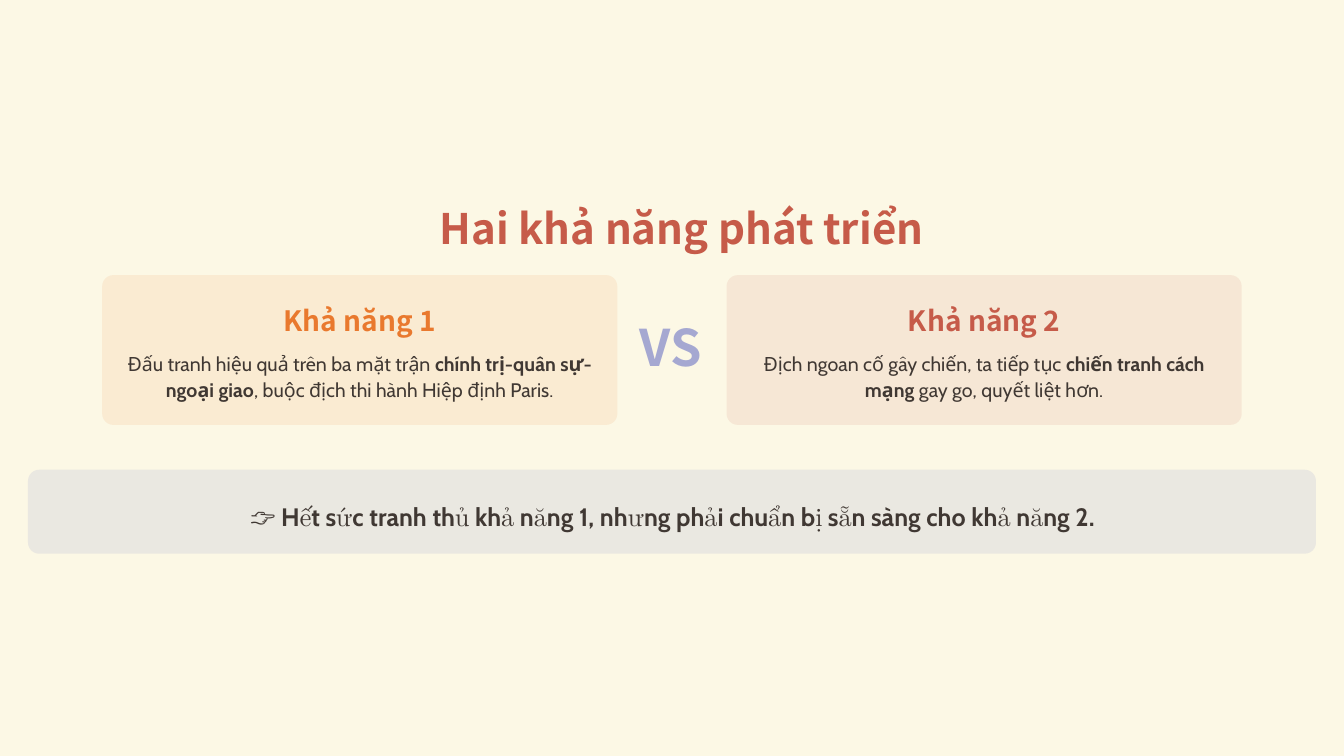
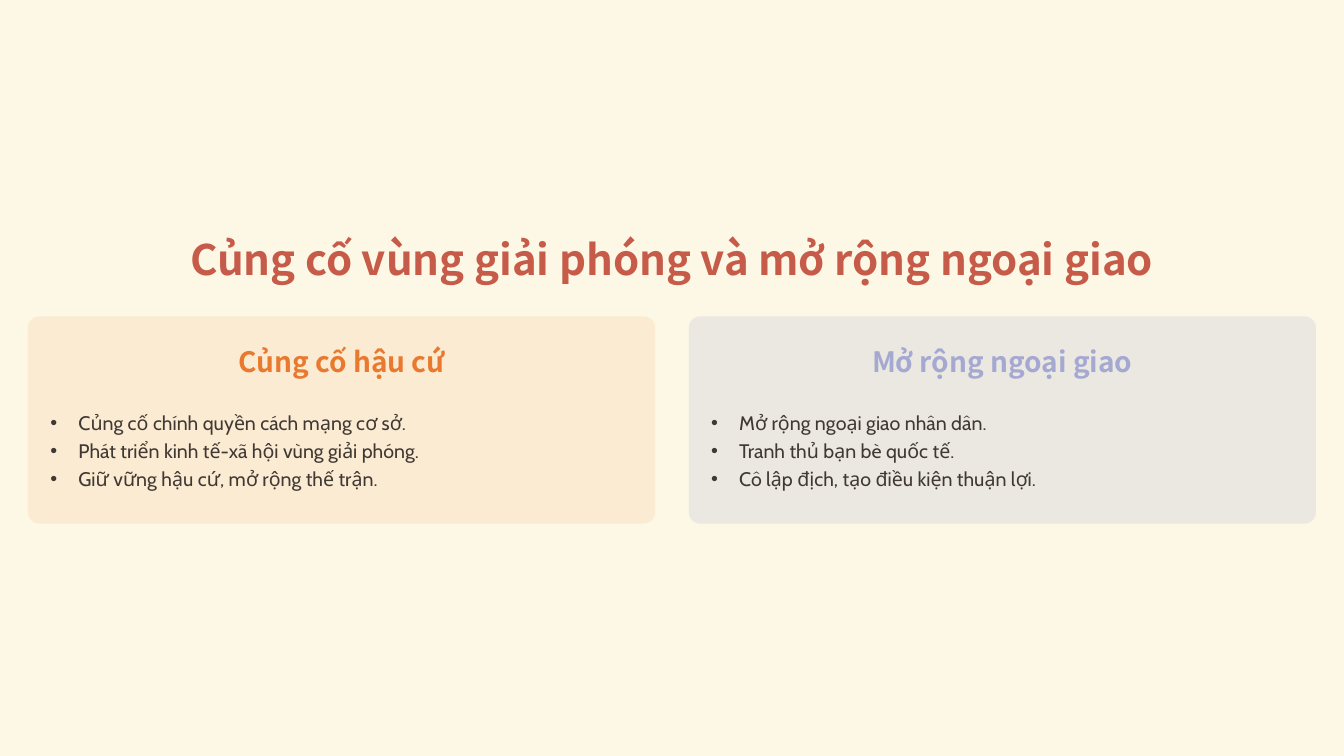
from lxml import etree
from pptx import Presentation
from pptx.dml.color import RGBColor
from pptx.enum import shapes, text
from pptx.oxml import ns
from pptx.util import Pt

CREAM = RGBColor(0xFC, 0xF8, 0xE5)
RED = RGBColor(0xC6, 0x5B, 0x49)
ORANGE = RGBColor(0xE9, 0x79, 0x2E)
LAVENDER = RGBColor(0xA5, 0xA8, 0xD1)
INK = RGBColor(0x40, 0x38, 0x33)
HEADING_FONT = "Noto Sans CJK SC"
BODY_FONT = "Cabin"
LEFT, CENTER = text.PP_ALIGN.LEFT, text.PP_ALIGN.CENTER
COMPARISON_LAYOUT = 4
CORNER = 8
INDENT = 20


class Deck:
    def __init__(self):
        self.presentation = Presentation()
        self.presentation.slide_width = Pt(960)
        self.presentation.slide_height = Pt(540)
        fill = self.presentation.slide_master.background.fill
        fill.solid()
        fill.fore_color.rgb = CREAM
        self.slide = None

    def add_slide(self):
        layout = self.presentation.slide_layouts[COMPARISON_LAYOUT]
        self.slide = self.presentation.slides.add_slide(layout)

    def set_text(self, shape, box, lines, size, color, font=HEADING_FONT, bold=True,
                 align=CENTER, spacing=1.0, bullet=False):
        shape.left, shape.top, shape.width, shape.height = map(Pt, box)
        frame = shape.text_frame
        frame.word_wrap = True
        frame.auto_size = text.MSO_AUTO_SIZE.NONE
        frame.vertical_anchor = text.MSO_ANCHOR.MIDDLE
        frame.margin_left = frame.margin_right = 0
        frame.margin_top = frame.margin_bottom = 0
        for number, line in enumerate(lines):
            paragraph = frame.add_paragraph() if number else frame.paragraphs[0]
            paragraph.alignment = align
            paragraph.line_spacing = spacing
            paragraph.space_before = Pt(0)
            self.set_bullet(paragraph, bullet)
            paragraph.font.name = font
            paragraph.font.size = Pt(size)
            paragraph.font.bold = bold
            paragraph.font.color.rgb = color
            for position, part in enumerate(line.split("*")):
                run = paragraph.add_run()
                run.text = part
                if position % 2:
                    run.font.bold = True

    def set_bullet(self, paragraph, bullet):
        properties = paragraph._p.get_or_add_pPr()
        indent = Pt(INDENT) if bullet else 0
        properties.set("marL", str(indent))
        properties.set("indent", str(-indent))
        mark = etree.SubElement(properties, ns.qn("a:buChar" if bullet else "a:buNone"))
        if bullet:
            mark.set("char", "•")

    def title(self, box, line, align=CENTER):
        self.set_text(self.slide.shapes.title, box, [line], 30, RED, align=align)

    def label(self, box, line, size, color, **style):
        shape = self.slide.shapes.add_textbox(0, 0, 0, 0)
        self.set_text(shape, box, [line], size, color, **style)

    def panel(self, box, color, opacity):
        shape = self.slide.shapes.add_shape(
            shapes.MSO_SHAPE.ROUNDED_RECTANGLE, *map(Pt, box))
        shape.adjustments[0] = CORNER / min(box[2:])
        shape.shadow.inherit = False
        shape.line.fill.background()
        shape.fill.solid()
        shape.fill.fore_color.rgb = color
        tint = shape.element.spPr.find(".//" + ns.qn("a:srgbClr"))
        etree.SubElement(tint, ns.qn("a:alpha")).set("val", str(opacity * 1000))
        self.slide.shapes.element.insert(2, shape.element)

    def card(self, column, box, color, opacity, heading, lines, body_box, **style):
        left, top, width, height = box
        inset, body_top, body_height = body_box
        heading_shape, body_shape = (
            self.slide.placeholders[1 + 2 * column + offset] for offset in (0, 1))
        self.panel(box, color, opacity)
        self.set_text(heading_shape, (left + 11, top + 16, width - 22, 28),
                      [heading], 20, color, spacing=1.2)
        self.set_text(body_shape,
                      (left + inset, top + body_top, width - 2 * inset, body_height),
                      lines, 14, INK, font=BODY_FONT, bold=False, **style)


def add_possibilities(deck):
    deck.add_slide()
    deck.title((314, 145, 360, 36), "Hai khả năng phát triển", LEFT)
    cards = [
        (ORANGE, "Khả năng 1", "Đấu tranh hiệu quả trên ba mặt trận "
         "*chính trị-quân sự-ngoại giao*, buộc địch thi hành Hiệp định Paris."),
        (RED, "Khả năng 2", "Địch ngoan cố gây chiến, ta tiếp tục "
         "*chiến tranh cách mạng* gay go, quyết liệt hơn."),
    ]
    for column, (color, heading, line) in enumerate(cards):
        deck.card(column, (73 + 446 * column, 196.5, 368, 107), color, 10,
                  heading, [line], (12.5, 52, 39), spacing=1.1)
    deck.label((457, 230, 64, 40), "VS", 36, LAVENDER, align=LEFT, spacing=0.9)
    deck.panel((20, 335.5, 920, 60), LAVENDER, 20)
    deck.label((32, 351.5, 897, 28),
               "👉 Hết sức tranh thủ khả năng 1, nhưng phải chuẩn bị "
               "sẵn sàng cho khả năng 2.",
               18, INK, font=BODY_FONT, spacing=1.3)


def add_consolidation(deck):
    deck.add_slide()
    deck.title((12, 166.5, 936, 36), "Củng cố vùng giải phóng và mở rộng ngoại giao")
    cards = [
        (ORANGE, 10, "Củng cố hậu cứ", [
            "Củng cố chính quyền cách mạng cơ sở.",
            "Phát triển kinh tế-xã hội vùng giải phóng.",
            "Giữ vững hậu cứ, mở rộng thế trận."]),
        (LAVENDER, 20, "Mở rộng ngoại giao", [
            "Mở rộng ngoại giao nhân dân.",
            "Tranh thủ bạn bè quốc tế.",
            "Cô lập địch, tạo điều kiện thuận lợi."]),
    ]
    for column, (color, opacity, heading, lines) in enumerate(cards):
        deck.card(column, (20 + 472 * column, 226, 448, 148), color, opacity,
                  heading, lines, (16, 56, 76.5),
                  align=LEFT, spacing=1.2, bullet=True)


def main():
    deck = Deck()
    add_possibilities(deck)
    add_consolidation(deck)
    deck.presentation.save("out.pptx")


if __name__ == "__main__":
    main()
